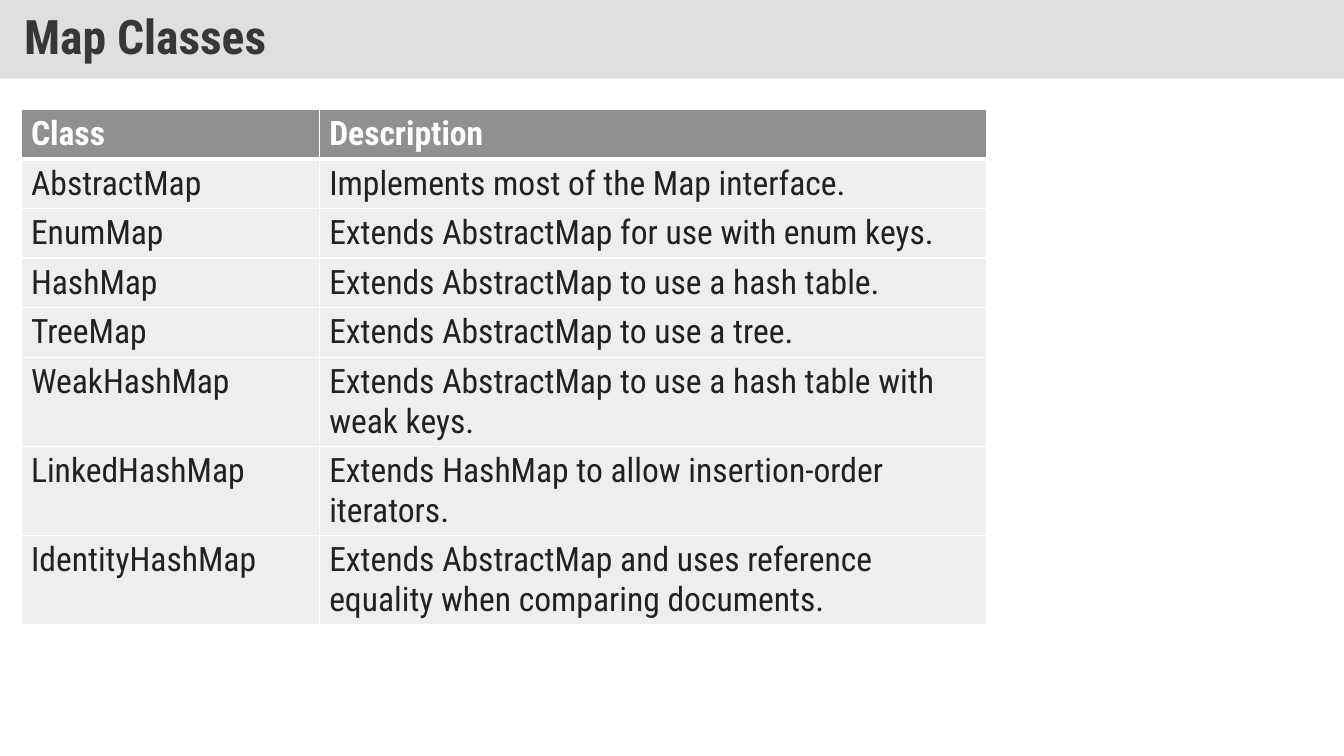
import pptx
import pptx.util
import pptx.dml.color
import pptx.enum.shapes
import pptx.enum.text
import pptx.oxml.ns
import lxml.etree

PX = 9525
FONT = "Roboto Condensed"
WHITE = pptx.dml.color.RGBColor(0xFF, 0xFF, 0xFF)
BANNER = pptx.dml.color.RGBColor(0xC0, 0xC0, 0xC0)
HEADING = pptx.dml.color.RGBColor(0x37, 0x37, 0x37)
HEADER_FILL = pptx.dml.color.RGBColor(0x90, 0x90, 0x90)
BODY_FILL = pptx.dml.color.RGBColor(0xEE, 0xEE, 0xEE)
BODY_TEXT = pptx.dml.color.RGBColor(0x21, 0x21, 0x21)

MAP_CLASSES = [
    ("Class", "Description"),
    ("AbstractMap", "Implements most of the Map interface."),
    ("EnumMap", "Extends AbstractMap for use with enum keys."),
    ("HashMap", "Extends AbstractMap to use a hash table."),
    ("TreeMap", "Extends AbstractMap to use a tree."),
    ("WeakHashMap", "Extends AbstractMap to use a hash table with weak keys."),
    ("LinkedHashMap", "Extends HashMap to allow insertion-order iterators."),
    ("IdentityHashMap",
     "Extends AbstractMap and uses reference equality when comparing documents."),
]


def px(length):
    return pptx.util.Emu(length * PX)


def set_format(target, values):
    for name, value in values.items():
        setattr(target, name, value)


def write(paragraph, text, size, color, bold):
    run = paragraph.add_run()
    run.text = text
    set_format(run.font, {"name": FONT, "size": pptx.util.Pt(size), "bold": bold})
    run.font.color.rgb = color


def add_xml(parent, tag, **attributes):
    return lxml.etree.SubElement(parent, pptx.oxml.ns.qn(tag), attributes)


def border_cell(cell, widths):
    properties = cell._tc.get_or_add_tcPr()
    for position, (side, width) in enumerate(widths.items()):
        line = add_xml(properties, f"a:ln{side}", w=str(pptx.util.Pt(width)))
        add_xml(add_xml(line, "a:solidFill"), "a:srgbClr", val=str(WHITE))
        properties.insert(position, line)


def add_title_banner(slide, left, top, width, height):
    banner = slide.shapes.add_shape(
        pptx.enum.shapes.MSO_SHAPE.RECTANGLE, px(left), px(top), px(width), px(height))
    banner.shadow.inherit = False
    banner.line.fill.background()
    banner.fill.solid()
    banner.fill.fore_color.rgb = BANNER
    tint = banner._element.spPr.find(".//" + pptx.oxml.ns.qn("a:srgbClr"))
    add_xml(tint, "a:alpha", val="50000")
    set_format(banner.text_frame, {
        "margin_left": px(23), "margin_right": px(23),
        "margin_top": px(12), "margin_bottom": px(12),
        "word_wrap": True,
        "vertical_anchor": pptx.enum.text.MSO_ANCHOR.MIDDLE,
    })
    heading = banner.text_frame.paragraphs[0]
    set_format(heading, {"alignment": pptx.enum.text.PP_ALIGN.LEFT, "line_spacing": 0.9})
    write(heading, "Map Classes", 34, HEADING, True)


def add_class_table(slide, left, top, width, height):
    frame = slide.shapes.add_table(
        len(MAP_CLASSES), 2, px(left), px(top), px(width), px(height))
    class_table = frame.table
    set_format(class_table, {"first_row": True, "horz_banding": False})
    name_width = 284
    for column, column_width in zip(class_table.columns, (name_width, width - name_width)):
        column.width = px(column_width)
    for row in class_table.rows:
        row.height = px(height // len(MAP_CLASSES))
    for row_index, entry in enumerate(MAP_CLASSES):
        header = row_index == 0
        for column_index, text in enumerate(entry):
            cell = class_table.cell(row_index, column_index)
            cell.fill.solid()
            cell.fill.fore_color.rgb = HEADER_FILL if header else BODY_FILL
            border_cell(cell, {"L": 0.96, "R": 0.96,
                               "T": 3 if row_index == 1 else 0.96,
                               "B": 3 if header else 0.96})
            write(cell.text_frame.paragraphs[0], text, 24,
                  WHITE if header else BODY_TEXT, header)


def build_slide(presentation, width, height):
    set_format(presentation, {"slide_width": px(width), "slide_height": px(height)})
    slide = presentation.slides.add_slide(presentation.slide_layouts[6])
    add_title_banner(slide, 0, 0, width, 75)
    add_class_table(slide, 20, 104, 920, 312)


def main():
    presentation = pptx.Presentation()
    build_slide(presentation, 1280, 720)
    presentation.save("out.pptx")


if __name__ == "__main__":
    main()
